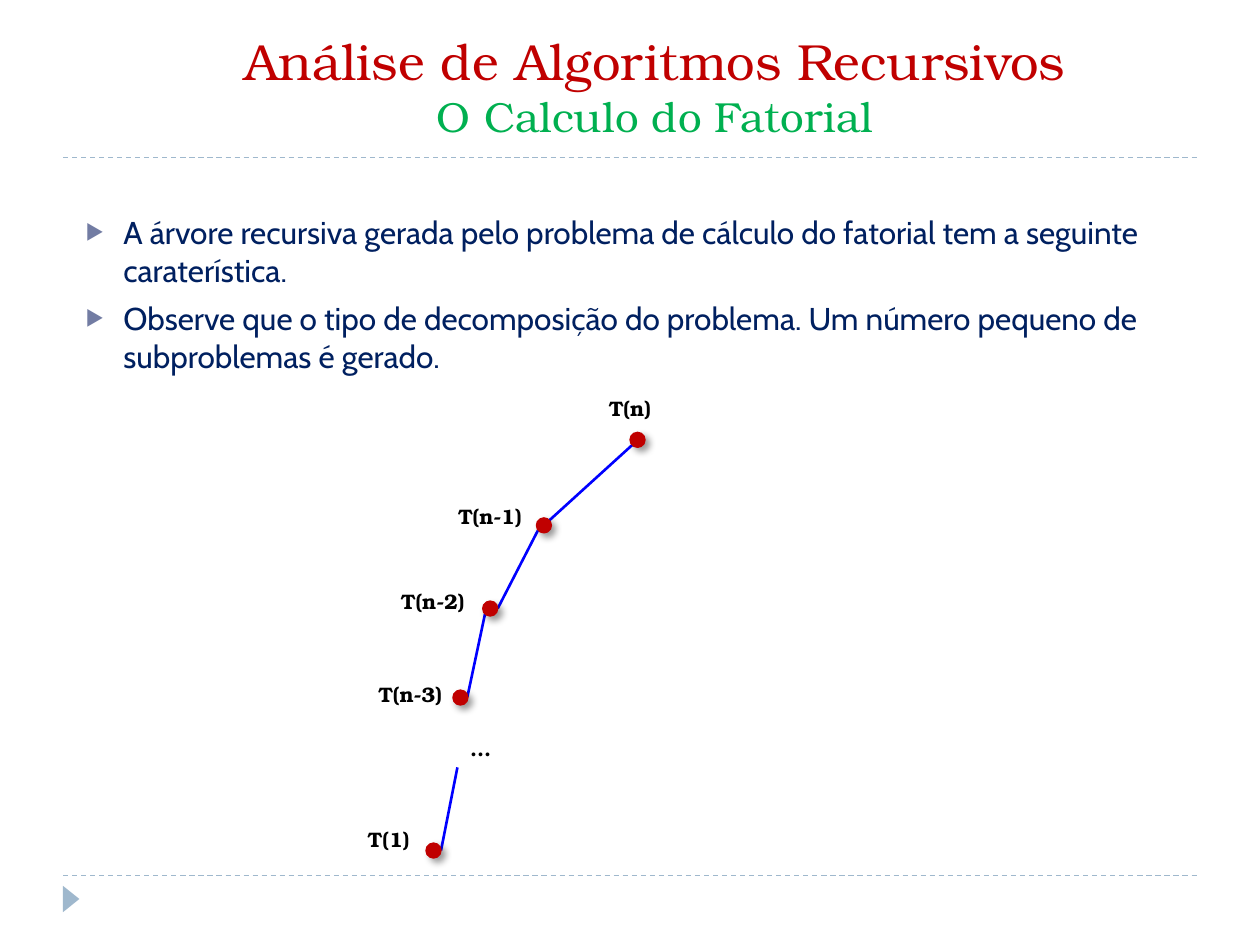
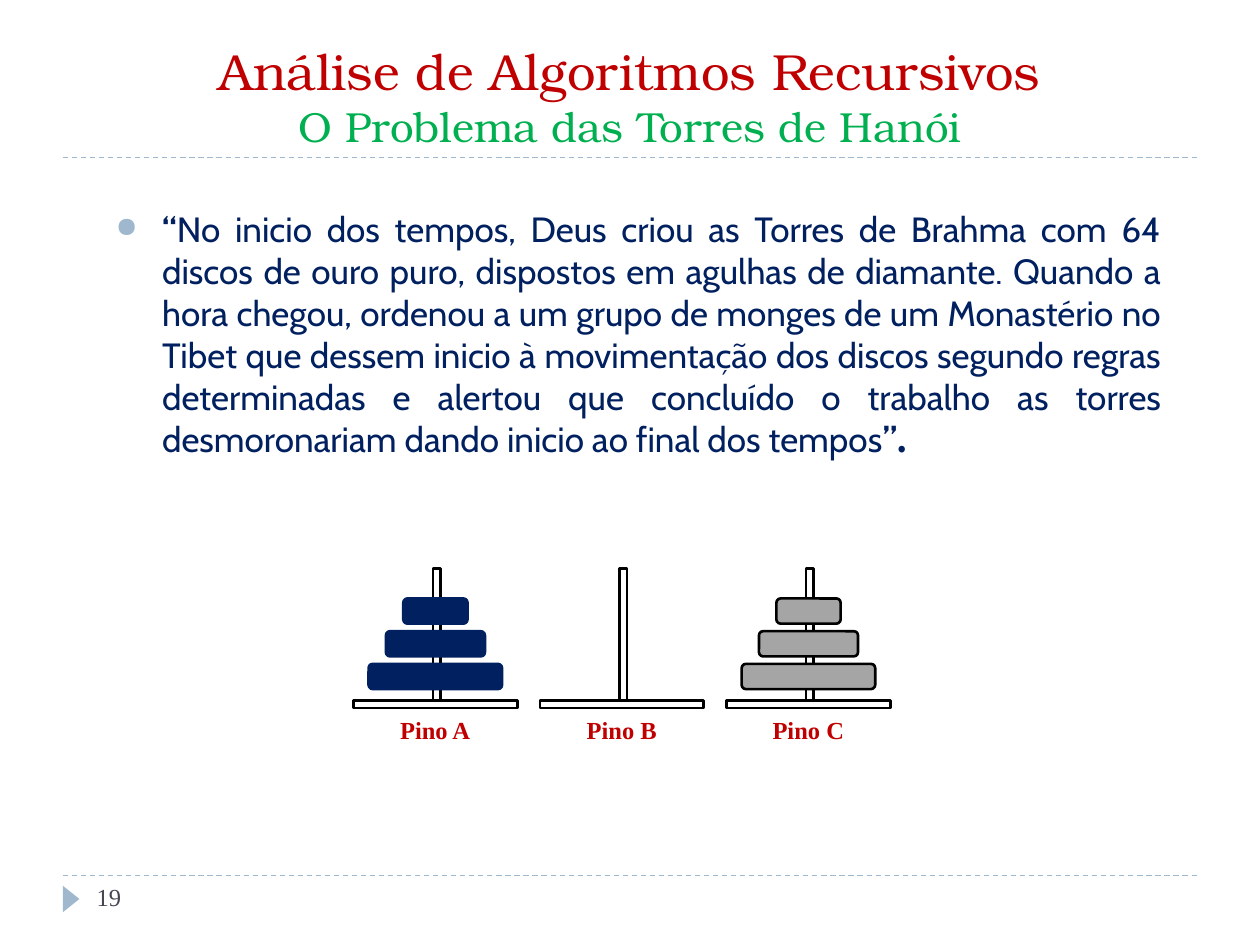
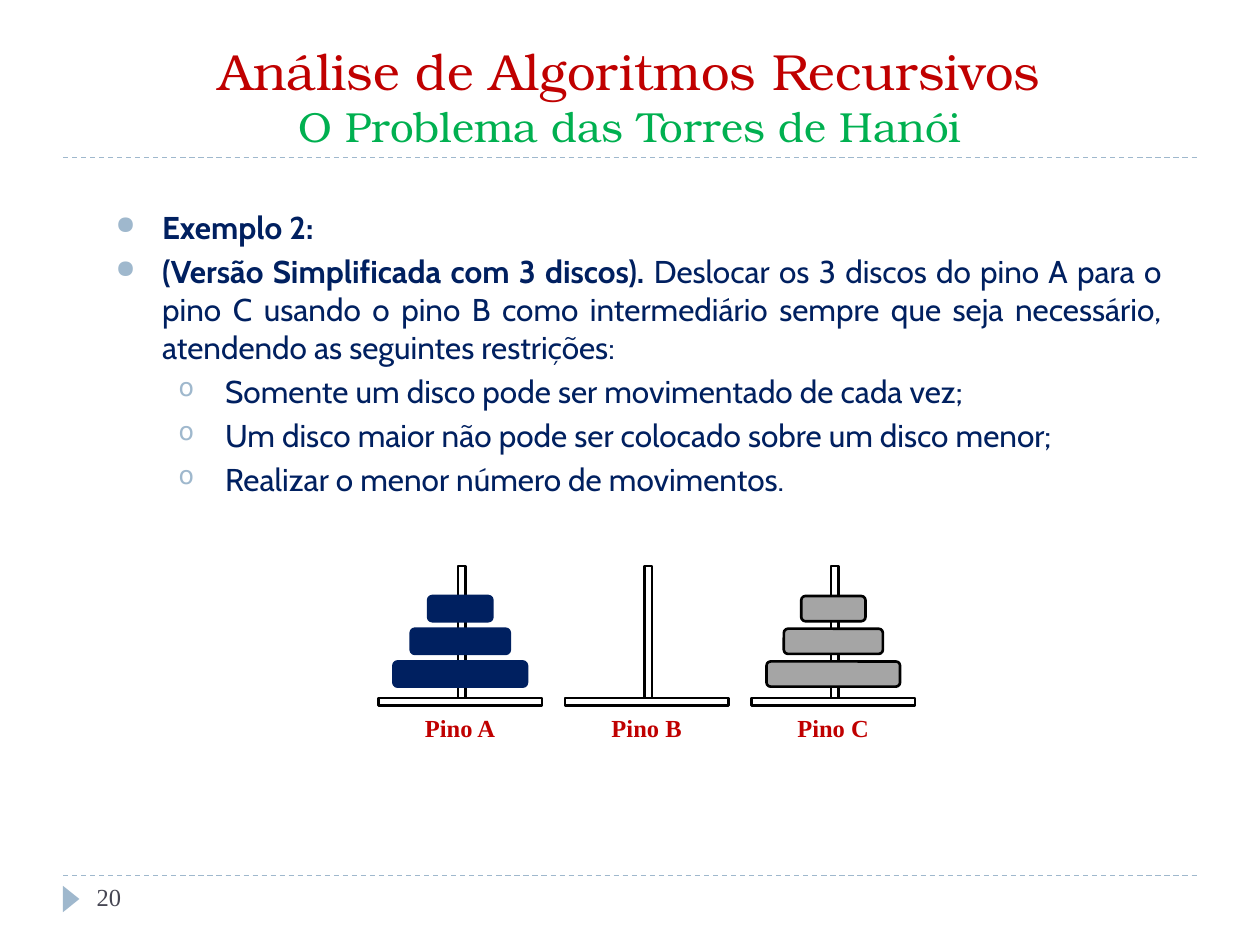
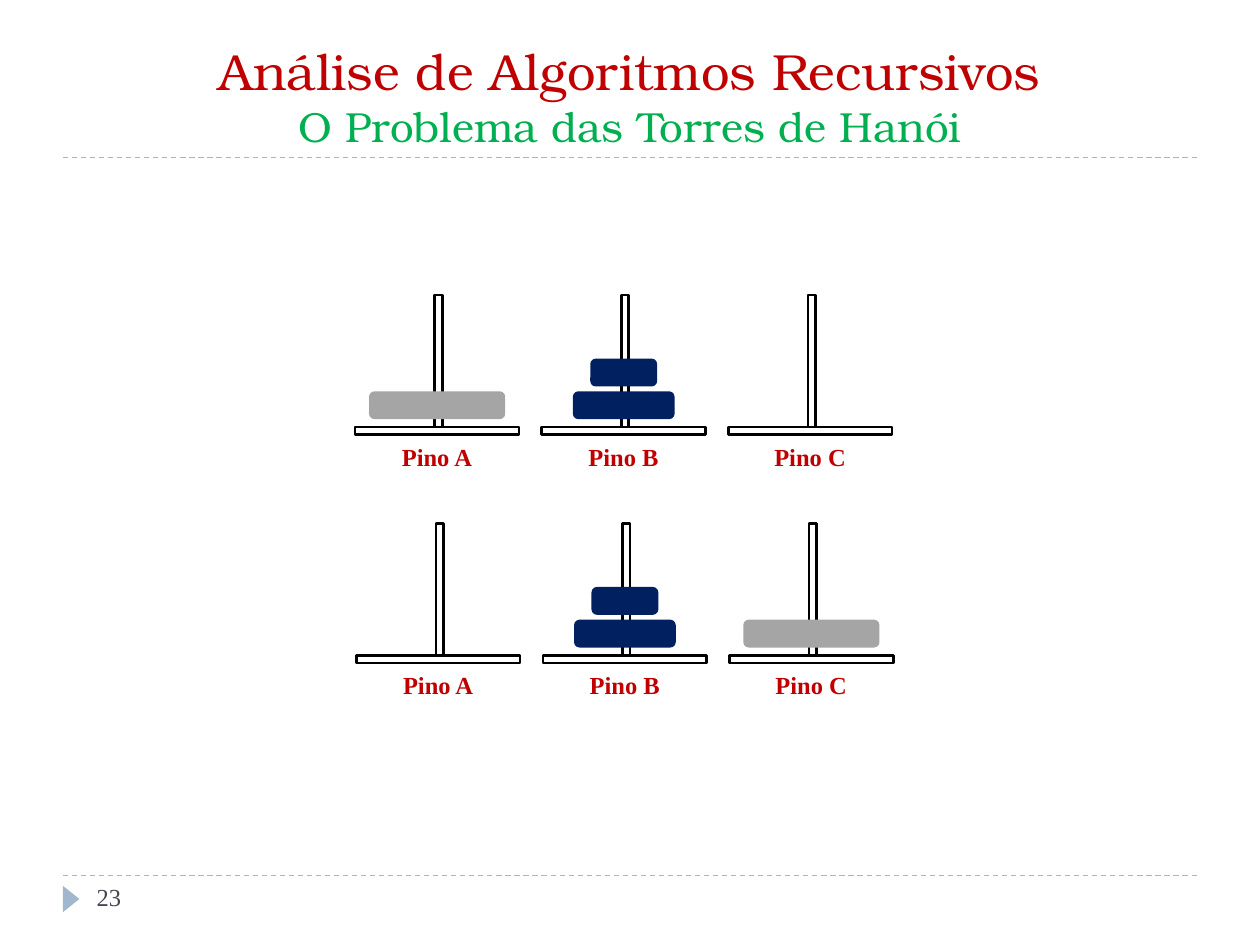
"""Builds four slides on the analysis of recursive algorithms."""
from lxml import etree
from pptx import Presentation
from pptx import util as u
from pptx.dml.color import RGBColor
from pptx.enum import dml, shapes, text
from pptx.oxml import ns

RED = RGBColor(0xC0, 0x00, 0x00)
GREEN = RGBColor(0x00, 0xB0, 0x50)
NAVY = RGBColor(0x00, 0x20, 0x60)
BLUE = RGBColor(0x00, 0x00, 0xFF)
STEEL = RGBColor(0x9F, 0xB8, 0xCD)
SLATE = RGBColor(0x72, 0x7C, 0xA3)
INK = RGBColor(0x46, 0x46, 0x53)
GRAY = RGBColor(0xA5, 0xA5, 0xA5)
BLACK = RGBColor(0x00, 0x00, 0x00)
WHITE = RGBColor(0xFF, 0xFF, 0xFF)

SERIF = "TeX Gyre Bonum"
SANS = "Cabin"
TIMES = "Times New Roman"
CJK = "Noto Sans CJK KR"

Shape = shapes.MSO_SHAPE
Align = text.PP_ALIGN
Anchor = text.MSO_ANCHOR

HANOI = "O Problema das Torres de Hanói"
STEP = 106.6
BASE = 93.6
ROD = 4.3
POST = 79.2
WIDTHS = {1: 36.7, 2: 56.6, 3: 76.3}


def node(parent, tag, **attrs):
    return etree.SubElement(parent, ns.qn(tag), **attrs)


def style(run, size, face, color, bold=False):
    font = run.font
    font.size, font.name, font.bold = u.Pt(size), face, bold
    font.color.rgb = color


class Deck:
    def __init__(self):
        self.prs = Presentation()
        self.prs.slide_width, self.prs.slide_height = u.Pt(720), u.Pt(540)

    def start(self, topic, box=(36, 18, 648, 72), number=None):
        self.slide = self.prs.slides.add_slide(self.prs.slide_layouts[5])
        self.kit = self.slide.shapes
        for y in (500.4, 90):
            self.line((36, y), (684, y), STEEL, 0.75, True)
        self.shape(Shape.ISOSCELES_TRIANGLE, (33.1, 509, 15.1, 9.4), STEEL, turn=90)
        self.title(topic, box)
        if number:
            self.label(number, (48.2, 500.4, 156.2, 28.8), 14, TIMES, INK,
                       bold=False, align=Align.LEFT)

    def group(self):
        self.kit = self.slide.shapes.add_group_shape().shapes

    def title(self, topic, box):
        head = self.slide.shapes.title
        head.left, head.top, head.width, head.height = map(u.Pt, box)
        frame = head.text_frame
        frame.text = "Análise de Algoritmos Recursivos\v" + topic
        frame.auto_size = text.MSO_AUTO_SIZE.NONE
        frame.vertical_anchor = Anchor.BOTTOM
        para = frame.paragraphs[0]
        para.alignment = Align.CENTER
        for run, size, color in zip(para.runs, (29, 24), (RED, GREEN)):
            style(run, size, SERIF, color)
        node(para._p.find(ns.qn("a:br")), "a:rPr", sz="2900")

    def line(self, start, end, color, width, dash=False):
        line = self.kit.add_connector(shapes.MSO_CONNECTOR.STRAIGHT,
                                      *map(u.Pt, start + end))
        line.line.color.rgb, line.line.width = color, u.Pt(width)
        if dash:
            line.line.dash_style = dml.MSO_LINE.DASH
        node(line._element.spPr, "a:effectLst")

    def shape(self, kind, box, fill, edge=None, width=1.5, turn=0):
        item = self.kit.add_shape(kind, *map(u.Pt, box))
        item.shadow.inherit = False
        item.rotation = turn
        item.fill.solid()
        item.fill.fore_color.rgb = fill
        if edge is None:
            item.line.fill.background()
        else:
            item.line.color.rgb, item.line.width = edge, u.Pt(width)
        return item

    def label(self, words, box, size, face, color, bold=True,
              align=Align.CENTER, anchor=Anchor.TOP):
        frame = self.kit.add_textbox(*map(u.Pt, box)).text_frame
        frame.word_wrap = True
        frame.vertical_anchor = anchor
        frame.text = words
        para = frame.paragraphs[0]
        para.alignment = align
        style(para.runs[0], size, face, color, bold)

    def bullets(self, box, items, size, mark, tint, inset, gap, align,
                scale=80, face=None):
        """Each item is a level and its (text, bold, font) runs."""
        frame = self.kit.add_textbox(*map(u.Pt, box)).text_frame
        frame.word_wrap = True
        for i, (level, runs) in enumerate(items):
            para = frame.add_paragraph() if i else frame.paragraphs[0]
            para.level, para.alignment = level, align
            para.space_before = u.Pt(gap if i else 0)
            prop = para._p.get_or_add_pPr()
            prop.set("marL", str(u.Pt(inset + 36 * level)))
            prop.set("indent", str(-u.Pt(inset)))
            node(node(prop, "a:buClr"), "a:srgbClr", val=str(tint))
            node(prop, "a:buSzPct", val=str(scale * 1000))
            if face:
                node(prop, "a:buFont", typeface=face)
            node(prop, "a:buChar", char="o" if level else mark)
            for words, bold, font in runs:
                run = para.add_run()
                run.text = words
                style(run, size, font, NAVY, bold)

    def story(self, items, size):
        self.bullets((59, 115.2, 612, 370), items, size, "●", STEEL, 26.6, 3.6,
                     Align.JUSTIFY)

    def dot(self, x, y):
        item = self.shape(Shape.OVAL, (x, y, 8.6, 8.6), RED, RED, 0.75, 180)
        glow = node(item._element.spPr.find(ns.qn("a:effectLst")), "a:outerShdw",
                    blurRad=str(u.Pt(4)), dist=str(u.Pt(3)), dir="2700000",
                    algn="tl", rotWithShape="0")
        node(node(glow, "a:srgbClr", val=str(BLACK)), "a:alpha", val="40000")

    def board(self, left, top, stacks, lift=20.9):
        """Each stack is a pin index, disc sizes from the bottom, fill and edge."""
        self.group()
        for i, name in enumerate("ABC"):
            x = left + i * STEP
            self.shape(Shape.RECTANGLE,
                       (x + (BASE - POST) / 2 + 0.8, top - POST / 2 + 1.6, POST, ROD),
                       WHITE, BLACK, turn=270)
            self.shape(Shape.RECTANGLE, (x, top, BASE, ROD), WHITE, BLACK)
            self.label("Pino " + name, (x + 11.4, top + 5, 70.6, 24.3),
                       14, TIMES, RED)
        for pin, discs, fill, edge in stacks:
            mid = left + pin * STEP + BASE / 2
            for i, disc in enumerate(discs):
                wide = WIDTHS[disc]
                self.shape(Shape.ROUNDED_RECTANGLE,
                           (mid - wide / 2, top - lift - i * 18.7, wide, 14.4),
                           fill, edge)


def tree(deck):
    deck.start("O Calculo do Fatorial", (50.4, 0, 648, 84.2))
    facts = ("A árvore recursiva gerada pelo problema de cálculo do fatorial tem "
             "a seguinte caraterística.",
             "Observe que o tipo de decomposição do problema. Um número pequeno "
             "de subproblemas é gerado.")
    deck.bullets((41.8, 118, 648, 98), [(0, [(fact, False, SANS)]) for fact in facts],
                 18, "▶", SLATE, 21.6, 6, Align.LEFT, 60, CJK)
    deck.group()
    for start, end in (((361.4, 254.2), (313.9, 297.4)),
                       ((307.4, 303.1), (284.4, 347.8)),
                       ((277.2, 350.6), (267.1, 398.2)),
                       ((261.4, 438.5), (252, 486))):
        deck.line(start, end, BLUE, 1.5)
    for x, y in ((360, 247), (306.5, 295.9), (275.8, 343.4), (258.8, 394.3),
                 (243.4, 481.7)):
        deck.dot(x, y)
    for words, x, y, wide in (("T(n)", 337, 222.5, 46), ("T(n-1)", 252, 284.4, 56),
                              ("T(n-2)", 220.3, 332.6, 54),
                              ("T(n-3)", 207.4, 385.9, 54),
                              ("...", 247.7, 416.9, 54), ("T(1)", 195.1, 468.7, 54)):
        deck.label(words, (x, y, wide, 21.6), 12, SERIF, BLACK, anchor=Anchor.MIDDLE)


def legend(deck):
    deck.start(HANOI, number="19")
    tale = ("No inicio dos tempos, Deus criou as Torres de Brahma com 64 discos de "
            "ouro puro, dispostos em agulhas de diamante. Quando a hora chegou, "
            "ordenou a um grupo de monges de um Monastério no Tibet que dessem "
            "inicio à movimentação dos discos segundo regras determinadas e alertou "
            "que concluído o trabalho as torres desmoronariam dando inicio ao final "
            "dos tempos")
    deck.story([(0, [("“", True, SANS), (tale, False, SANS), ("”", True, SANS),
                     (".", True, CJK)])], 20)
    deck.board(202, 400.3, GOAL)


def rules(deck):
    deck.start(HANOI, number="20")
    task = (" Deslocar os 3 discos do pino A para o pino C usando o pino B como "
            "intermediário sempre que seja necessário, atendendo as seguintes "
            "restrições:")
    limits = ("Somente um disco pode ser movimentado de cada vez;",
              "Um disco maior não pode ser colocado sobre um disco menor;",
              "Realizar o menor número de movimentos.")
    deck.story([(0, [("Exemplo 2:", True, SANS)]),
                (0, [("(Versão Simplificada com 3 discos).", True, SANS),
                     (task, False, SANS)])]
               + [(1, [(limit, False, SANS)]) for limit in limits], 18)
    deck.board(216.2, 398.9, GOAL)


def moves(deck):
    deck.start(HANOI, number="23")
    pair = (1, (2, 1), NAVY, NAVY)
    deck.board(203, 244, [(0, (3,), GRAY, GRAY), pair], 19.6)
    deck.board(203.7, 374.5, [pair, (2, (3,), GRAY, GRAY)], 19.6)


GOAL = [(0, (3, 2, 1), NAVY, NAVY), (2, (3, 2, 1), GRAY, BLACK)]


def main():
    deck = Deck()
    for build in (tree, legend, rules, moves):
        build(deck)
    deck.prs.save("out.pptx")


if __name__ == "__main__":
    main()
